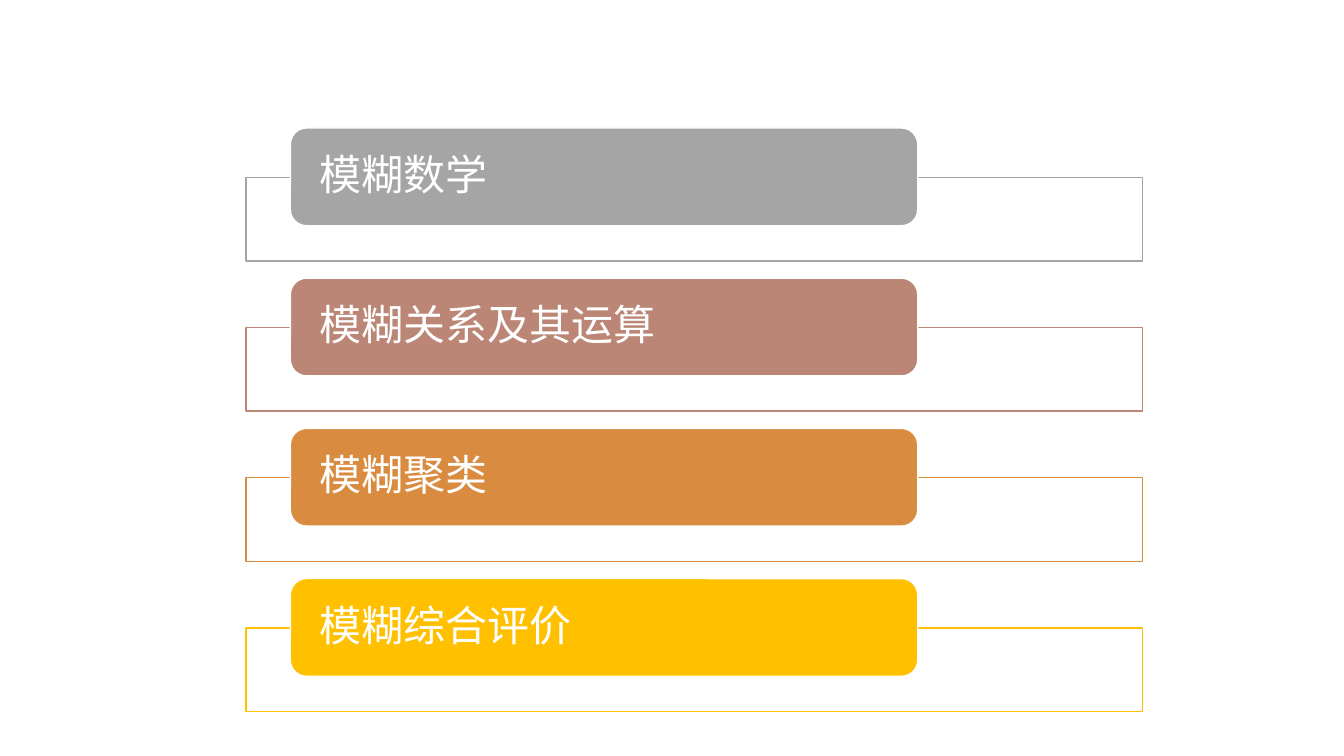
from lxml import etree
from pptx import Presentation
from pptx import util as u
from pptx.dml.color import RGBColor
from pptx.enum import shapes, text
from pptx.oxml.ns import qn

HUES = {"white": "FFFFFF", "gray": "A5A5A5", "rose": "BB8676",
        "orange": "D98B3F", "gold": "FFC000"}
FONT = "Noto Sans CJK SC"
TOPICS = [("模糊数学", "gray"), ("模糊关系及其运算", "rose"),
          ("模糊聚类", "orange"), ("模糊综合评价", "gold")]
PITCH = 1.49


def add_box(slide, kind, box, fill, line):
    shape = slide.shapes.add_shape(kind, *map(u.Inches, box))
    shape.shadow.inherit = False
    shape.fill.solid()
    shape.fill.fore_color.rgb = RGBColor.from_string(HUES[fill])
    shape.line.color.rgb = RGBColor.from_string(HUES[line])
    shape.line.width = u.Pt(1)
    return shape


def set_label(shape, words):
    frame = shape.text_frame
    frame.word_wrap = True
    frame.vertical_anchor = text.MSO_ANCHOR.MIDDLE
    frame.margin_left = frame.margin_right = u.Inches(0.24)
    frame.margin_top = frame.margin_bottom = 0
    par = frame.paragraphs[0]
    run = par.add_run()
    run.text = words
    par.alignment = text.PP_ALIGN.LEFT
    par.line_spacing = 0.9
    for font in (par.font, run.font):
        font.name = FONT
        font.size = u.Pt(30)
        font.color.rgb = RGBColor.from_string(HUES["white"])
    # East Asian text takes its face from a:ea
    etree.SubElement(run.font._element, qn("a:ea"), typeface=FONT)


def add_topic(slide, box, words, hue):
    """Draw an outlined frame with a coloured label over its top edge."""
    left, top, width, height = box
    frame = add_box(slide, shapes.MSO_SHAPE.RECTANGLE,
                    (left, top + 0.49, width, height - 0.49), "white", hue)
    paint = frame.fill._xPr.find(qn("a:solidFill"))[0]
    etree.SubElement(paint, qn("a:alpha"), val="90000")
    label = add_box(slide, shapes.MSO_SHAPE.ROUNDED_RECTANGLE,
                    (left + 0.44, top, width * 0.7, 0.97), hue, "white")
    set_label(label, words)


def add_list(slide, box):
    left, top, width, height = box
    for row, (words, hue) in enumerate(TOPICS):
        add_topic(slide, (left, top + row * PITCH, width,
                          height - (len(TOPICS) - 1) * PITCH), words, hue)


def main():
    deck = Presentation()
    deck.slide_width, deck.slide_height = u.Inches(13.33), u.Inches(7.5)
    slide = deck.slides.add_slide(deck.slide_layouts[6])
    add_list(slide, (2.44, 1.27, 8.89, 5.79))
    deck.save("out.pptx")


if __name__ == "__main__":
    main()
